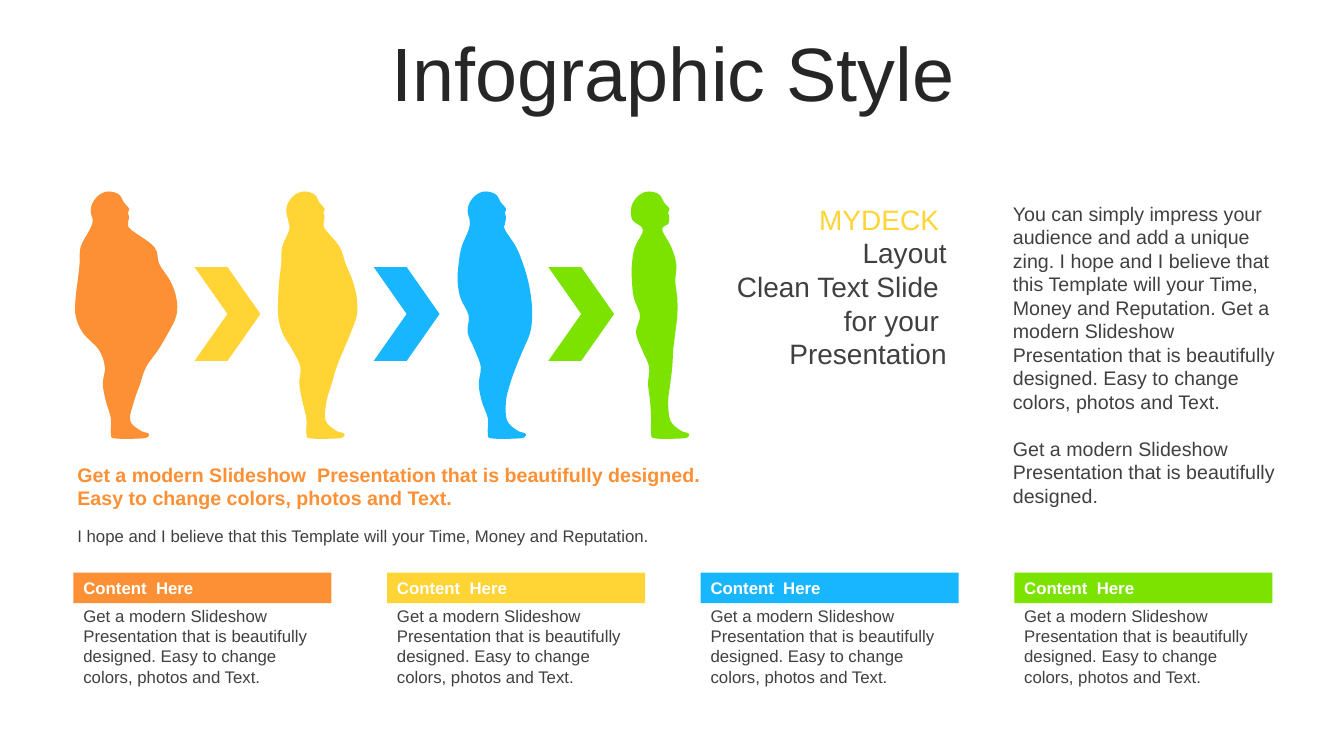
from pptx import Presentation
from pptx.dml.color import RGBColor
from pptx.enum.shapes import MSO_SHAPE as SHAPE
from pptx.enum.text import MSO_ANCHOR as ANCHOR, MSO_AUTO_SIZE as AUTO, PP_ALIGN as ALIGN
from pptx.util import Pt

COLORS = {"orange": "FD9034", "yellow": "FFD434", "blue": "17B6FF", "green": "7CE200",
          "title": "262626", "text": "404040", "white": "FFFFFF"}

# Silhouettes in hundredths of an inch, x measured from the nose.
# All share one head and one foot; the body is a front and a back profile
# read at equal steps down from the neck.
HEAD = [(-36, 219), (-38, 210), (-36, 201), (-29, 193), (-20, 190), (-10, 193),
        (-5, 201), (0, 207), (-1, 211), (0, 216), (-1, 222)]
FOOT = [(1, 417), (11, 427), (19, 430), (19, 433), (13, 435), (-14, 435), (-18, 430),
        (-18, 415)]
BODY_LEVELS = range(228, 399, 17)
FIGURES = {
    "orange": (128, [2, 25, 30, 41, 47, 47, 39, 29, 17, 11, 5],
               [-39, -48, -49, -51, -53, -53, -46, -30, -24, -26, -23]),
    "yellow": (322, [1, 15, 21, 28, 32, 32, 26, 19, 12, 7, 2],
               [-35, -42, -43, -45, -46, -46, -42, -32, -24, -25, -22]),
    "blue": (502, [-1, 10, 17, 22, 25, 26, 24, 17, 10, 4, 0],
             [-37, -44, -47, -48, -45, -37, -38, -31, -25, -27, -24]),
    "green": (664, [-7, 2, 7, 6, 8, 8, 6, 4, 3, 1, -1],
              [-26, -34, -37, -37, -35, -29, -33, -27, -20, -21, -19]),
}
CHEVRON_LEFTS = {"yellow": 139, "blue": 267, "green": 391.7}

DESIGN_LINE = "Get a modern Slideshow  Presentation that is beautifully designed."
BLURB = f"{DESIGN_LINE} Easy to change colors, photos and Text."
BELIEF = "I hope and I believe that this Template will your Time, Money and Reputation."
INTRO = f"You can simply impress your audience and add a unique zing. {BELIEF} {BLURB}"


def rgb(name):
    return RGBColor.from_string(COLORS[name])


def paint(shape, color):
    shape.shadow.inherit = False
    shape.fill.solid()
    shape.fill.fore_color.rgb = rgb(color)
    shape.line.fill.background()


def write(shape, lines, size, color="text", bold=False, align=ALIGN.LEFT,
          anchor=ANCHOR.TOP, gap=0):
    """Fill a shape with paragraphs; a line is a string or a (string, color) pair."""
    tf = shape.text_frame
    tf.word_wrap = True
    tf.auto_size = AUTO.NONE
    tf.vertical_anchor = anchor
    for i, line in enumerate(lines):
        text, line_color = (line, color) if isinstance(line, str) else line
        p = tf.add_paragraph() if i else tf.paragraphs[0]
        p.alignment = align
        if i and gap:
            p.space_before = Pt(gap)
        r = p.add_run()
        r.text = text
        r.font.name = "Arial"
        r.font.size = Pt(size)
        r.font.bold = bold
        r.font.color.rgb = rgb(line_color)


def add_text(s, box, lines, size, **style):
    write(s.shapes.add_textbox(*map(Pt, box)), lines, size, **style)


def add_block(s, kind, box, color):
    sp = s.shapes.add_shape(kind, *map(Pt, box))
    paint(sp, color)
    return sp


def smooth(points, steps=4):
    """Return a closed Catmull-Rom curve through the points."""
    curve = []
    for i, b in enumerate(points):
        a, c, d = points[i - 1], points[(i + 1) % len(points)], points[(i + 2) % len(points)]
        for t in (k / steps for k in range(steps)):
            curve.append(tuple(
                q + t / 2 * (r - p + t * (2 * p - 5 * q + 4 * r - u + t * (3 * (q - r) + u - p)))
                for p, q, r, u in zip(a, b, c, d)))
    return curve


def add_figure(s, nose, front, back, color):
    outline = HEAD + list(zip(front, BODY_LEVELS)) + FOOT + list(zip(back, BODY_LEVELS))[::-1]
    start, *rest = [(Pt((nose + x) * 0.72), Pt(y * 0.72)) for x, y in smooth(outline)]
    builder = s.shapes.build_freeform(*start)
    builder.add_line_segments(rest, close=True)
    paint(builder.convert_to_shape(), color)


def add_card(s, left, color):
    header = add_block(s, SHAPE.RECTANGLE, (left, 409, 184.3, 21.8), color)
    write(header, ["Content  Here"], 12, "white", bold=True, anchor=ANCHOR.MIDDLE)
    add_text(s, (left, 429.2, 184.3, 65.5), [BLURB], 12)


def set_title(s, text):
    title = s.shapes.title
    title.left, title.top, title.width, title.height = map(Pt, (25.2, 26.6, 911.5, 56.9))
    write(title, [text], 54, "title", align=ALIGN.CENTER, anchor=ANCHOR.MIDDLE)
    title.text_frame.paragraphs[0].line_spacing = 0.9


def main():
    prs = Presentation()
    prs.slide_width, prs.slide_height = Pt(960), Pt(540)
    s = prs.slides.add_slide(prs.slide_layouts[5])
    set_title(s, "Infographic Style")

    for color, (nose, front, back) in FIGURES.items():
        add_figure(s, nose, front, back, color)
    for color, left in CHEVRON_LEFTS.items():
        add_block(s, SHAPE.CHEVRON, (left, 190.8, 47, 67), color)

    add_text(s, (507, 140.4, 176.4, 128.2),
             [("MYDECK ", "yellow"), "Layout", "Clean Text Slide ", "for your ", "Presentation"],
             20, align=ALIGN.RIGHT, anchor=ANCHOR.MIDDLE)
    add_text(s, (716.4, 140.4, 209.5, 227.5), [INTRO, DESIGN_LINE], 14, gap=16.8)
    add_text(s, (48.2, 327, 473, 41), [BLURB], 14, color="orange", bold=True)
    add_text(s, (48.2, 372.2, 473, 21.6), [BELIEF], 12)

    for i, color in enumerate(FIGURES):
        add_card(s, 52.5 + 224 * i, color)
    prs.save("out.pptx")


if __name__ == "__main__":
    main()
